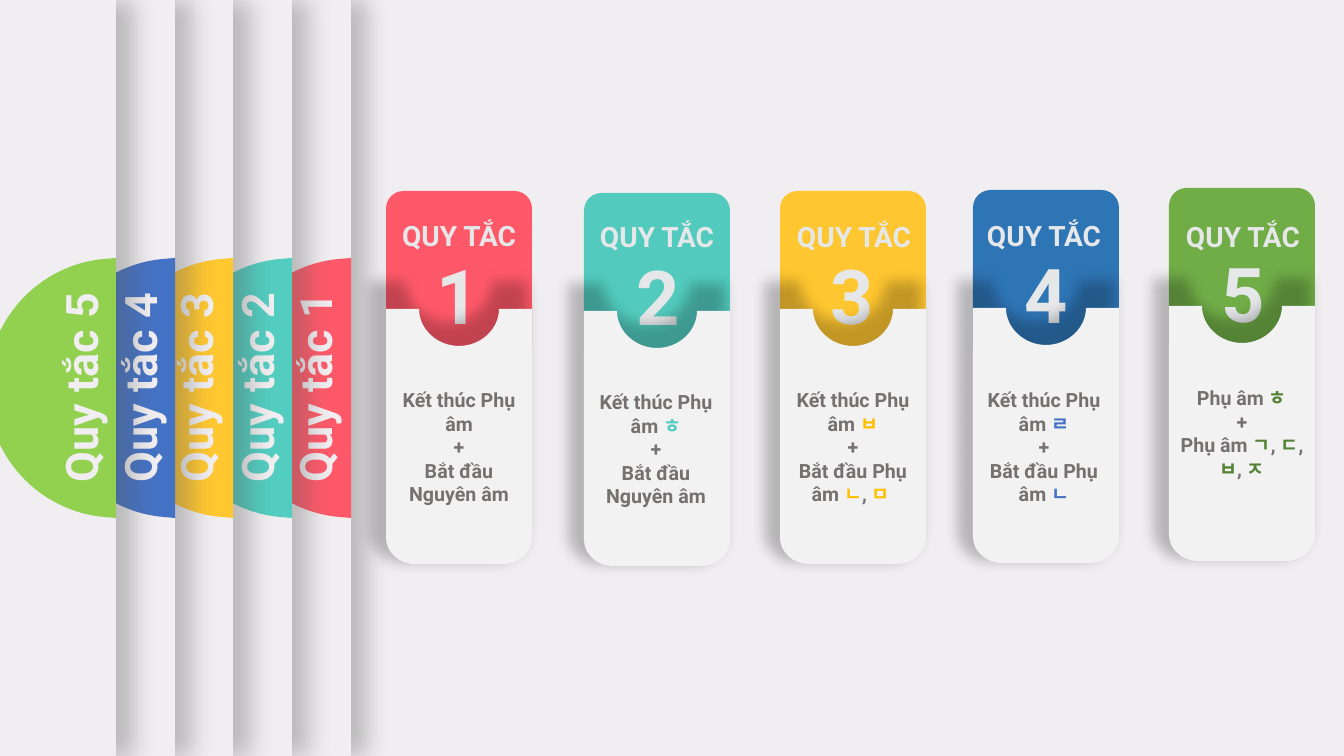
from dataclasses import dataclass
from itertools import groupby

from lxml import etree
from pptx import Presentation
from pptx.dml.color import RGBColor
from pptx.enum.shapes import MSO_SHAPE
from pptx.enum.text import MSO_AUTO_SIZE, PP_ALIGN
from pptx.oxml.ns import qn
from pptx.shapes.autoshape import Shape
from pptx.shapes.shapetree import SlideShapes
from pptx.text.text import TextFrame
from pptx.util import Emu, Pt

RECTANGLE = MSO_SHAPE.RECTANGLE
ROUND_TOP = MSO_SHAPE.ROUND_2_SAME_RECTANGLE
GROW = MSO_AUTO_SIZE.SHAPE_TO_FIT_TEXT
CENTER = PP_ALIGN.CENTER

SLIDE_WIDTH, SLIDE_HEIGHT = 1344, 756
EMU_PER_PX = 12192000 / SLIDE_WIDTH
FONT = "Roboto"

PAPER = RGBColor(0xF0, 0xEE, 0xF0)
CARD_WHITE = RGBColor(0xF2, 0xF2, 0xF2)
HEADING = RGBColor(0xE6, 0xE7, 0xE9)
BODY_GREY = RGBColor(0x76, 0x71, 0x71)
SHADOW_GREY = RGBColor(0x59, 0x59, 0x59)
BLACK = RGBColor(0, 0, 0)
RED = RGBColor(0xFF, 0x59, 0x69)
TEAL = RGBColor(0x52, 0xCD, 0xC0)
CARD_TEAL = RGBColor(0x52, 0xCB, 0xBE)
YELLOW = RGBColor(0xFF, 0xC7, 0x30)
CARD_YELLOW = RGBColor(0xFE, 0xC6, 0x30)
AMBER = RGBColor(0xFF, 0xC0, 0x00)
BLUE = RGBColor(0x44, 0x72, 0xC4)
CARD_BLUE = RGBColor(0x2E, 0x75, 0xB6)
LIME = RGBColor(0x92, 0xD0, 0x50)
GREEN = RGBColor(0x70, 0xAD, 0x47)
DARK_GREEN = RGBColor(0x54, 0x82, 0x35)

Place = tuple[int, int]
# One point is a straight side, three points are a cubic curve.
Segment = tuple[Place, ...]

HALF_DISC: tuple[Segment, ...] = (
    ((129, 0),), ((129, 260),), ((117, 259),),
    ((51, 253), (0, 197), (0, 130)),
    ((0, 63), (51, 7), (117, 1)),
)
CARD_WIDTH = 146
NOTCHED_SHEET: tuple[Segment, ...] = (
    ((0, 0),), ((33, 0),),
    ((33, 20), (51, 37), (73, 37)),
    ((95, 37), (113, 20), (113, 0)),
    ((146, 0),), ((146, 229),),
    ((146, 243), (133, 255), (117, 255)),
    ((29, 255),),
    ((13, 255), (0, 243), (0, 229)),
)


@dataclass(frozen=True)
class Panel:
    left: int
    right: int
    label_left: int
    color: RGBColor


@dataclass(frozen=True)
class Card:
    corner: Place
    heading: Place
    number: Place
    body: Place
    body_height: int
    color: RGBColor
    letter_color: RGBColor
    lines: tuple[str, ...]


@dataclass(frozen=True)
class Shadow:
    color: RGBColor
    opacity: int
    blur: int
    distance: int
    angle: int
    scale: Place = (100, 100)


PANEL_SHADOW = Shadow(SHADOW_GREY, 35, 17, 12, 0)
CARD_SHADOW = Shadow(BLACK, 23, 10, 13, 234, (107, 110))

PANELS = (
    Panel(-1025, 351, 205, RED),
    Panel(-970, 292, 147, TEAL),
    Panel(-865, 233, 86, YELLOW),
    Panel(-880, 175, 30, BLUE),
    Panel(-842, 116, -29, LIME),
)
CARDS = (
    Card((386, 191), (376, 214), (417, 244), (386, 383), 129, RED, RED,
         ("Kết thúc Phụ âm", "+", "Bắt đầu Nguyên âm")),
    Card((584, 193), (574, 215), (617, 245), (583, 385), 129, CARD_TEAL, CARD_TEAL,
         ("Kết thúc Phụ âm ㅎ", "+", "Bắt đầu Nguyên âm")),
    Card((780, 191), (771, 215), (811, 244), (780, 383), 129, CARD_YELLOW, AMBER,
         ("Kết thúc Phụ âm ㅂ", "+", "Bắt đầu Phụ âm ㄴ, ㅁ ")),
    Card((973, 190), (961, 214), (1005, 243), (971, 383), 129, CARD_BLUE, BLUE,
         ("Kết thúc Phụ âm ㄹ", "+", "Bắt đầu Phụ âm ㄴ")),
    Card((1169, 188), (1160, 215), (1202, 242), (1169, 381), 105, GREEN, DARK_GREEN,
         ("Phụ âm ㅎ", "+", "Phụ âm ㄱ, ㄷ, ㅂ, ㅈ")),
)


def px(length: int) -> Emu:
    return Emu(round(length * EMU_PER_PX))


def paint(shape: Shape, color: RGBColor, shadow: Shadow | None = None) -> None:
    shape.fill.solid()
    shape.fill.fore_color.rgb = color
    shape.line.fill.background()
    shape.shadow.inherit = False
    if shadow:
        effects = shape._element.spPr.find(qn("a:effectLst"))
        outer = etree.SubElement(
            effects, qn("a:outerShdw"), blurRad=str(Pt(shadow.blur)),
            dist=str(Pt(shadow.distance)), dir=str(shadow.angle * 60000),
            sx=str(shadow.scale[0] * 1000), sy=str(shadow.scale[1] * 1000),
            algn="ctr", rotWithShape="0")
        tint = etree.SubElement(outer, qn("a:srgbClr"), val=str(shadow.color))
        etree.SubElement(tint, qn("a:alpha"), val=str(shadow.opacity * 1000))


def add_outline(shapes: SlideShapes, place: Place, segments: tuple[Segment, ...],
                color: RGBColor, shadow: Shadow | None = None) -> None:
    """Draw a freeform, merging each three-point segment into one curve."""
    corners = [(px(place[0] + x), px(place[1] + y)) for part in segments for x, y in part]
    builder = shapes.build_freeform(*corners[0])
    builder.add_line_segments(corners[1:], close=True)
    shape = builder.convert_to_shape()
    sides = iter(list(shape._element.iter(qn("a:lnTo"))))
    for segment in segments[1:]:
        first, *others = [next(sides) for _ in segment]
        if others:
            first.tag = qn("a:cubicBezTo")
        for side in others:
            first.append(side[0])
            side.getparent().remove(side)
    paint(shape, color, shadow)


def add_text(shapes: SlideShapes, place: Place, size: Place, lines: tuple[str, ...],
             points: int, color: RGBColor, rotation: int = 0) -> TextFrame:
    box = shapes.add_textbox(*map(px, place + size))
    box.rotation = rotation
    frame = box.text_frame
    frame.word_wrap = True
    frame.auto_size = GROW
    frame.text = "\n".join(lines)
    for paragraph in frame.paragraphs:
        paragraph.alignment = CENTER
        font = paragraph.font
        font.name, font.size, font.bold = FONT, Pt(points), True
        font.color.rgb = color
    return frame


def is_korean(letter: str) -> bool:
    return "ㄱ" <= letter <= "ㅎ"


def color_korean(frame: TextFrame, color: RGBColor) -> None:
    for paragraph in frame.paragraphs:
        parts = [(korean, "".join(letters))
                 for korean, letters in groupby(paragraph.text, is_korean)]
        for run in paragraph.runs:
            paragraph._p.remove(run._r)
        for korean, part in parts:
            run = paragraph.add_run()
            run.text = part
            if korean:
                run.font.color.rgb = color


def draw_panel(shapes: SlideShapes, panel: Panel, number: int) -> None:
    sheet = shapes.add_shape(RECTANGLE, px(panel.left), 0,
                             px(panel.right - panel.left), px(SLIDE_HEIGHT))
    paint(sheet, PAPER, PANEL_SHADOW)
    add_outline(shapes, (panel.right - 129, 258), HALF_DISC, panel.color)
    add_text(shapes, (panel.label_left, 355), (220, 65), (f"Quy tắc {number}",),
             32, PAPER, 270)


def draw_card(shapes: SlideShapes, card: Card, number: int) -> None:
    left, top = card.corner
    tab = shapes.add_shape(ROUND_TOP, px(left), px(top), px(CARD_WIDTH), px(157))
    tab.adjustments[0], tab.adjustments[1] = 0.12, 0
    paint(tab, card.color)
    add_text(shapes, card.heading, (166, 44), ("QUY TẮC",), 20, HEADING)
    add_text(shapes, card.number, (83, 102), (str(number),), 54, HEADING)
    add_outline(shapes, (left, top + 118), NOTCHED_SHEET, CARD_WHITE, CARD_SHADOW)
    rule = add_text(shapes, card.body, (CARD_WIDTH, card.body_height), card.lines,
                    14, BODY_GREY)
    color_korean(rule, card.letter_color)


def main() -> None:
    deck = Presentation()
    deck.slide_width, deck.slide_height = px(SLIDE_WIDTH), px(SLIDE_HEIGHT)
    slide = deck.slides.add_slide(deck.slide_layouts[6])
    slide.background.fill.solid()
    slide.background.fill.fore_color.rgb = PAPER
    for number, panel in enumerate(PANELS, 1):
        draw_panel(slide.shapes, panel, number)
    for number, card in enumerate(CARDS, 1):
        draw_card(slide.shapes, card, number)
    deck.save("out.pptx")


if __name__ == "__main__":
    main()
